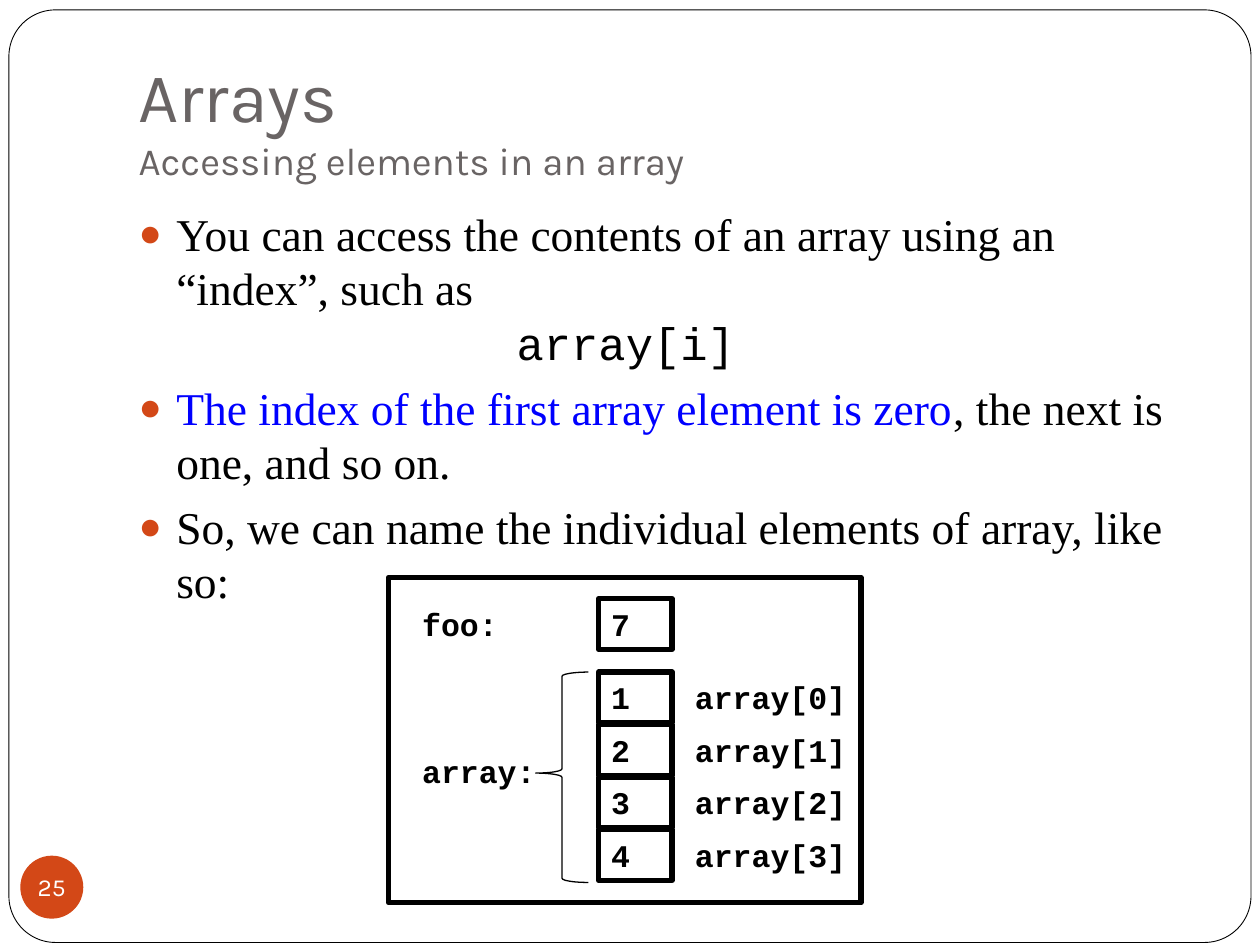
from lxml.etree import SubElement
from pptx import Presentation
from pptx.dml.color import RGBColor
from pptx.enum.shapes import MSO_SHAPE
from pptx.enum.text import MSO_ANCHOR, MSO_AUTO_SIZE, PP_ALIGN
from pptx.oxml.ns import qn
from pptx.util import Cm, Pt

COLORS = {
    "black": "000000",
    "white": "FFFFFF",
    "gray": "696464",
    "orange": "D34817",
    "blue": "0000FF",
}
HEADING_FONT, BODY_FONT, CODE_FONT = "Karla", "Times New Roman", "Courier New"

TITLE, SUBTITLE = "Arrays", "Accessing elements in an array"
BULLETS = [
    [
        ("You can access the contents of an array using an “index”, such as", {}),
        ("\n", {}),
        ("\tarray[i]", {"font": CODE_FONT}),
    ],
    [
        ("The index of the first array element is zero", {"color": "blue"}),
        (", the next is one, and so on.", {}),
    ],
    [("So, we can name the individual elements of array, like so:", {})],
]
SCALAR = ("foo:", "7")
ARRAY_NAME, ARRAY_VALUES = "array", ["1", "2", "3", "4"]
PAGE_NUMBER = "25"

NAME_LEFT, CELL_LEFT, INDEX_LEFT = 8.26, 12.07, 13.76
SCALAR_TOP, ARRAY_TOP = 12.07, 13.55
CELL_WIDTH, CELL_HEIGHT, ROW_PITCH = 1.48, 1.02, 1.06


def rgb(name):
    """Return the named colour."""
    return RGBColor.from_string(COLORS[name])


def add_text(paragraph, text, font=BODY_FONT, size=26, color="black", bold=False):
    """Append a formatted run, or a line break for a newline."""
    if text == "\n":
        paragraph.add_line_break()
        return
    run = paragraph.add_run()
    run.text = text
    run.font.name = font
    run.font.size = Pt(size)
    run.font.bold = bold
    run.font.color.rgb = rgb(color)


def place(shape, left, top, width, height):
    """Move and size a shape, in centimetres."""
    shape.left, shape.top = Cm(left), Cm(top)
    shape.width, shape.height = Cm(width), Cm(height)


def add_shape(slide, kind, box, line_width=None, fill=None):
    """Add a preset shape without shadow."""
    shape = slide.shapes.add_shape(kind, *map(Cm, box))
    shape.shadow.inherit = False
    if fill:
        shape.fill.solid()
        shape.fill.fore_color.rgb = rgb(fill)
    else:
        shape.fill.background()
    if line_width:
        shape.line.color.rgb = rgb("black")
        shape.line.width = Pt(line_width)
    else:
        shape.line.fill.background()
    return shape


def write_code(shape, text, wrap):
    """Write bold left-aligned code at the top of a shape."""
    frame = shape.text_frame
    frame.word_wrap = wrap
    frame.vertical_anchor = MSO_ANCHOR.TOP
    paragraph = frame.paragraphs[0]
    paragraph.alignment = PP_ALIGN.LEFT
    add_text(paragraph, text, font=CODE_FONT, size=18, bold=True)


def add_label(slide, text, left, top, width):
    """Add a code label beside the cells."""
    box = slide.shapes.add_textbox(Cm(left), Cm(top), Cm(width), Cm(CELL_HEIGHT))
    write_code(box, text, False)


def add_cell(slide, text, top):
    """Add one memory cell."""
    box = (CELL_LEFT, top, CELL_WIDTH, CELL_HEIGHT)
    write_code(add_shape(slide, MSO_SHAPE.RECTANGLE, box, 3), text, True)


def format_bullet(paragraph):
    """Give a paragraph its hanging orange bullet and tab stop."""
    properties = paragraph._p.get_or_add_pPr()
    properties.set("marL", str(Cm(0.76)))
    properties.set("indent", str(-Cm(0.76)))
    color = SubElement(properties, qn("a:buClr"))
    SubElement(color, qn("a:srgbClr"), val=COLORS["orange"])
    SubElement(properties, qn("a:buSzPct"), val="85000")
    SubElement(properties, qn("a:buChar"), char="●")
    tabs = SubElement(properties, qn("a:tabLst"))
    SubElement(tabs, qn("a:tab"), pos=str(Cm(7.62)), algn="l")


def add_heading(slide):
    """Fill the title placeholder."""
    title = slide.shapes.title
    place(title, 2.54, 0.76, 21.59, 3.18)
    frame = title.text_frame
    frame.auto_size = MSO_AUTO_SIZE.NONE
    frame.vertical_anchor = MSO_ANCHOR.BOTTOM
    frame.margin_bottom = Cm(0.25)
    paragraph = frame.paragraphs[0]
    paragraph.alignment = PP_ALIGN.LEFT
    for text, size in ((TITLE, 40), ("\n", 40), (SUBTITLE, 22)):
        add_text(paragraph, text, font=HEADING_FONT, size=size, color="gray")


def add_bullets(slide):
    """Fill the body placeholder."""
    body = slide.placeholders[1]
    place(body, 2.54, 4.02, 21.59, 7.82)
    frame = body.text_frame
    frame.auto_size = MSO_AUTO_SIZE.NONE
    for number, runs in enumerate(BULLETS):
        paragraph = frame.add_paragraph() if number else frame.paragraphs[0]
        format_bullet(paragraph)
        paragraph.space_before = Pt(5.8 if number else 0)
        for text, style in runs:
            add_text(paragraph, text, **style)


def add_memory_diagram(slide):
    """Draw the scalar and the array in memory."""
    add_shape(slide, MSO_SHAPE.RECTANGLE, (7.83, 11.64, 9.53, 6.56), 3)
    name, value = SCALAR
    add_label(slide, name, NAME_LEFT, SCALAR_TOP, 2.06)
    add_cell(slide, value, SCALAR_TOP)
    add_label(slide, f"{ARRAY_NAME}:", NAME_LEFT, 15.03, 2.82)
    brace_box = (10.8, ARRAY_TOP, 1.06, ROW_PITCH * len(ARRAY_VALUES))
    brace = add_shape(slide, MSO_SHAPE.LEFT_BRACE, brace_box, 0.75)
    brace.adjustments[0], brace.adjustments[1] = 0.08, 0.48
    for index, value in enumerate(ARRAY_VALUES):
        top = ARRAY_TOP + index * ROW_PITCH
        add_cell(slide, value, top)
        add_label(slide, f"{ARRAY_NAME}[{index}]", INDEX_LEFT, top, 3.58)


def add_page_number(slide):
    """Draw the page number badge."""
    badge = add_shape(slide, MSO_SHAPE.OVAL, (0.41, 17.25, 1.27, 1.27), fill="orange")
    frame = badge.text_frame
    frame.margin_left = frame.margin_right = frame.margin_top = frame.margin_bottom = 0
    frame.word_wrap = False
    frame.vertical_anchor = MSO_ANCHOR.MIDDLE
    paragraph = frame.paragraphs[0]
    paragraph.alignment = PP_ALIGN.CENTER
    add_text(paragraph, PAGE_NUMBER, font=HEADING_FONT, size=14, color="white")


def main():
    """Build and save the slide."""
    presentation = Presentation()
    presentation.slide_width, presentation.slide_height = Cm(25.4), Cm(19.05)
    slide = presentation.slides.add_slide(presentation.slide_layouts[1])
    border_box = (0.18, 0.2, 25.04, 18.8)
    border = add_shape(slide, MSO_SHAPE.ROUNDED_RECTANGLE, border_box, 0.5, "white")
    border.adjustments[0] = 0.05
    slide.shapes.title.element.addprevious(border.element)
    add_heading(slide)
    add_bullets(slide)
    add_memory_diagram(slide)
    add_page_number(slide)
    presentation.save("out.pptx")


if __name__ == "__main__":
    main()
